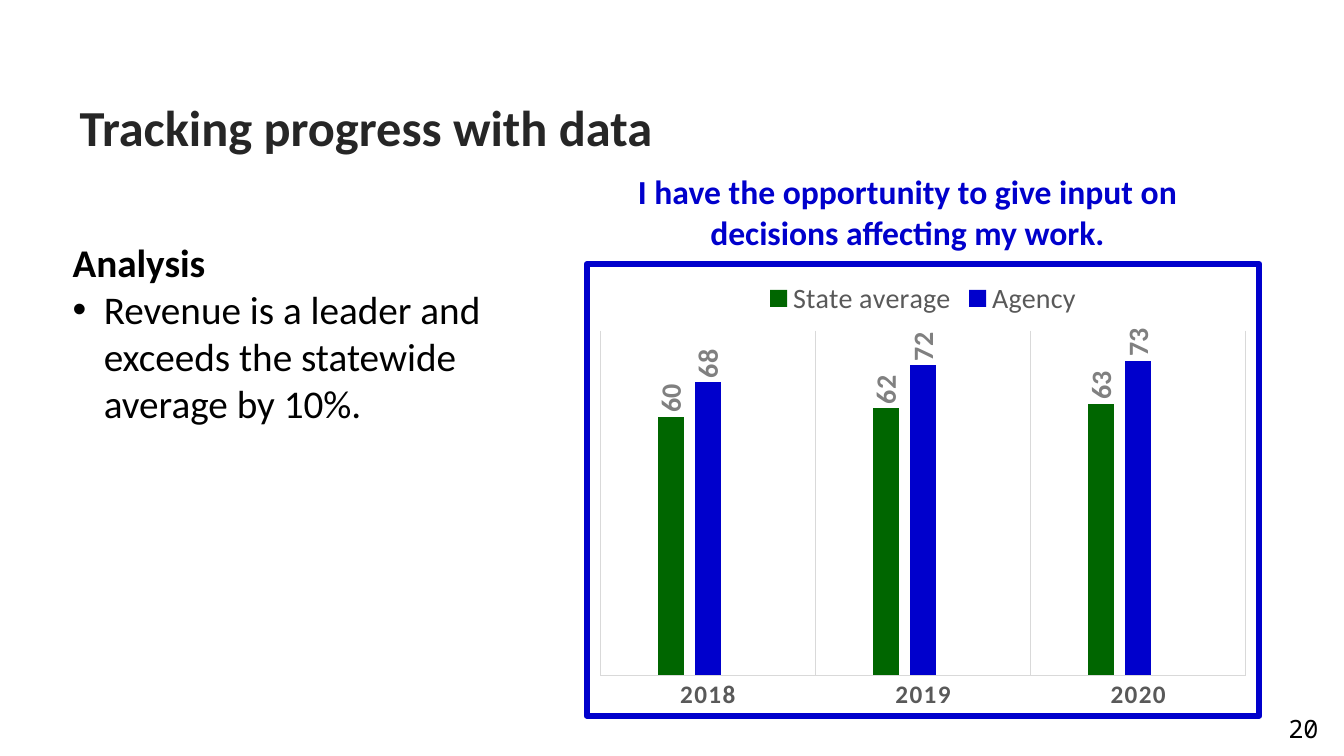
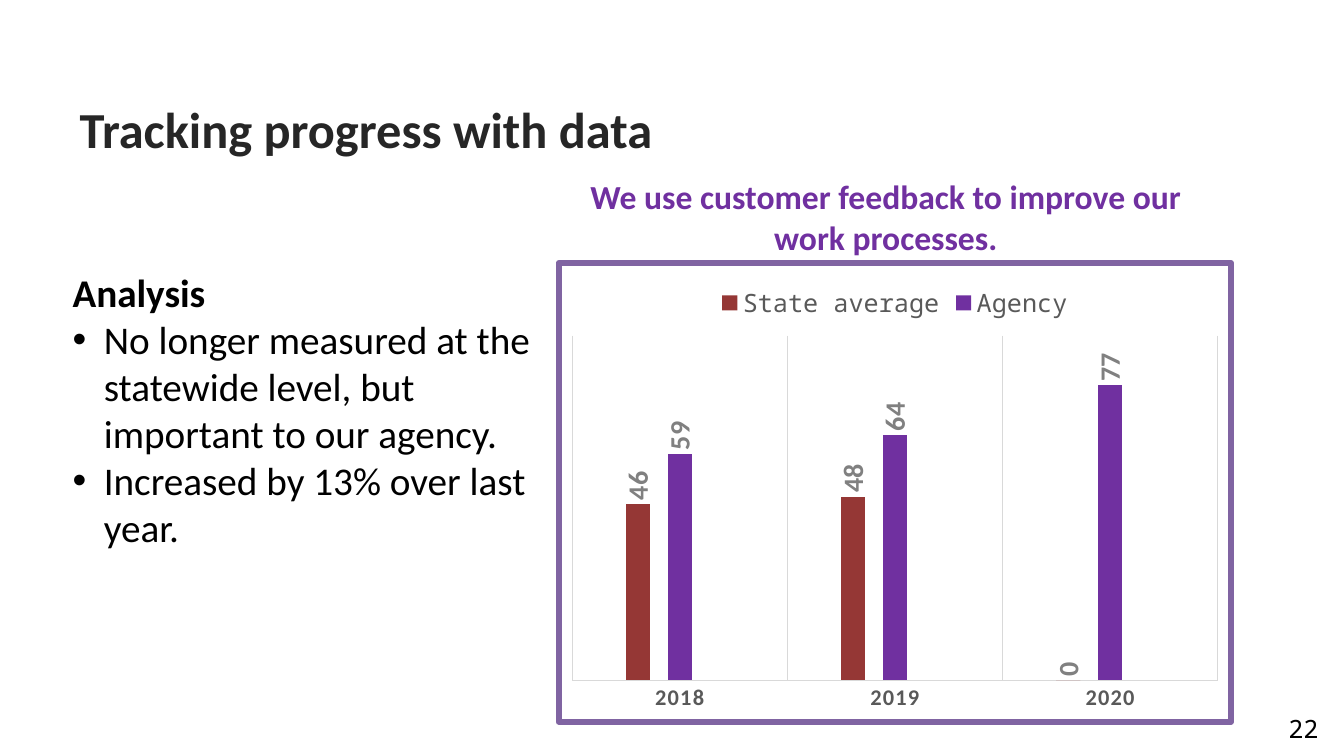
from lxml import etree
from pptx import Presentation
from pptx.chart import data
from pptx.dml import color
from pptx.enum import chart as ch, shapes, text
from pptx.oxml import ns
from pptx.util import Inches, Pt

COLORS = {
    "black": "000000", "title": "262626", "axis": "595959", "label": "808080",
    "grid": "D9D9D9", "blue": "0000CC", "green": "006600",
    "purple": "7030A0", "frame purple": "8064A2", "brick": "953735",
}
SANS, MONO = "Calibri", "Noto Sans Mono"
CHART_W, CHART_H = 6.67, 4.44
PLOT_AREA = {"x": 0.02, "y": 0.14, "w": 0.96, "h": 0.77}

PAGES = [
    {
        "number": "20", "title top": 0.9,
        "analysis": (2.31, 1.99),
        "points": ["Revenue is a leader and exceeds the statewide average by 10%."],
        "statement": "I have the opportunity to give input on decisions affecting my work.",
        "statement box": (6.09, 1.65, 5.82, 0.91),
        "accent": "blue", "frame": "blue", "average": "green",
        "frame box": (5.82, 2.62, CHART_W, 4.48), "chart top": 2.66,
        "State average": (60, 62, 63), "Agency": (68, 72, 73),
        "max": 80, "overlap": -43, "year size": 18,
        "legend": {"size": Pt(20), "name": SANS},
    },
    {
        "number": "22", "title top": 0.92,
        "analysis": (2.61, 2.93),
        "points": ["No longer measured at the statewide level, but important to our agency.",
                   "Increased by 13% over last year."],
        "statement": "We use customer feedback to improve our work processes.",
        "statement box": (5.54, 1.7, 6.49, 0.91),
        "accent": "purple", "frame": "frame purple", "average": "brick",
        "frame box": (5.54, 2.61, CHART_W, 4.55), "chart top": 2.71,
        "State average": (46, 48, 0), "Agency": (59, 64, 77),
        "max": 90, "overlap": -72, "year size": 16,
        "legend": {"size": Pt(18), "name": MONO},
    },
]


def rgb(name):
    return color.RGBColor.from_string(COLORS[name])


def style(font, color_name, **values):
    """Set a font's colour and any of its size, name and bold values."""
    for key, value in values.items():
        setattr(font, key, value)
    font.fill.solid()
    font.fill.fore_color.rgb = rgb(color_name)


prs = Presentation()
prs.slide_width, prs.slide_height = Inches(13.33), Inches(7.5)

for page in PAGES:
    slide = prs.slides.add_slide(prs.slide_layouts.get_by_name("Title and Content"))

    # Page number
    number = slide.shapes.add_textbox(*map(Inches, (12.68, 7.03, 0.53, 0.4))).text_frame
    number.word_wrap = False
    number.text = page["number"]
    style(number.paragraphs[0].runs[0].font, "black", size=Pt(18), name=MONO)

    # Title and analysis
    title, analysis = slide.placeholders
    analysis_top, analysis_height = page["analysis"]
    for part, box in ((title, (0.69, page["title top"], 7.13, 0.6)),
                      (analysis, (0.62, analysis_top, 4.92, analysis_height))):
        part.left, part.top, part.width, part.height = map(Inches, box)
        part.text_frame.auto_size = text.MSO_AUTO_SIZE.NONE
        part.text_frame.vertical_anchor = text.MSO_ANCHOR.TOP
    title.text_frame.text = "Tracking progress with data"
    heading = title.text_frame.paragraphs[0]
    heading.alignment = text.PP_ALIGN.LEFT
    style(heading.runs[0].font, "title", size=Pt(36), name=SANS, bold=True)

    analysis.text_frame.text = "\n".join(["Analysis", *page["points"]])
    for i, line in enumerate(analysis.text_frame.paragraphs):
        line.space_before = Pt(0)
        style(line.runs[0].font, "black", size=Pt(28), name=SANS, bold=i == 0)
        indent = Inches(0.31) if i else 0
        properties = line._p.get_or_add_pPr()
        properties.set("marL", str(indent))
        properties.set("indent", str(-indent))
        if i:
            etree.SubElement(properties, ns.qn("a:buChar"), char="•")
        else:
            etree.SubElement(properties, ns.qn("a:buNone"))

    # Survey statement above the chart
    statement = slide.shapes.add_textbox(*map(Inches, page["statement box"])).text_frame
    statement.word_wrap = True
    statement.text = page["statement"]
    statement.paragraphs[0].alignment = text.PP_ALIGN.CENTER
    style(statement.paragraphs[0].runs[0].font, page["accent"],
          size=Pt(24), name=SANS, bold=True)

    frame = slide.shapes.add_shape(shapes.MSO_SHAPE.RECTANGLE,
                                   *map(Inches, page["frame box"]))
    frame.shadow.inherit = False
    frame.fill.background()
    frame.line.color.rgb = rgb(page["frame"])
    frame.line.width = Pt(4.33)

    # Survey results; the empty third series keeps its room beside the columns
    results = data.CategoryChartData()
    results.categories = ["2018", "2019", "2020"]
    for name in ("State average", "Agency"):
        results.add_series(name, page[name])
    results.add_series("Series 3", (None, None, None))
    chart = slide.shapes.add_chart(
        ch.XL_CHART_TYPE.COLUMN_CLUSTERED, Inches(page["frame box"][0]),
        Inches(page["chart top"]), Inches(CHART_W), Inches(CHART_H), results).chart
    chart.has_title = False
    style(chart.font, "black", size=Pt(10), name=MONO)

    plot = chart.plots[0]
    plot.vary_by_categories = False
    plot.gap_width, plot.overlap = 444, page["overlap"]
    for series, fill in zip(plot.series, (page["average"], page["accent"])):
        series.format.fill.solid()
        series.format.fill.fore_color.rgb = rgb(fill)
        labels = series.data_labels
        labels.show_value = True
        labels.position = ch.XL_LABEL_POSITION.OUTSIDE_END
        style(labels.font, "label", size=Pt(20), name=SANS, bold=True)

    years = chart.category_axis
    years.major_tick_mark = ch.XL_TICK_MARK.NONE
    years.has_major_gridlines = True
    for part in (years, years.major_gridlines):
        part.format.line.color.rgb = rgb("grid")
        part.format.line.width = Pt(0.75)
    style(years.tick_labels.font, "axis", size=Pt(page["year size"]), name=SANS, bold=True)

    scores = chart.value_axis
    scores.minimum_scale, scores.maximum_scale = 0, page["max"]
    scores.has_major_gridlines = False
    scores.visible = False

    chart.has_legend = True
    chart.legend.position = ch.XL_LEGEND_POSITION.TOP
    chart.legend.include_in_layout = False
    style(chart.legend.font, "axis", **page["legend"])

    # Upright labels, spaced years, hidden legend entry and fixed plot area
    root = chart.element
    for body in root.xpath(".//c:dLbls/c:txPr/a:bodyPr"):
        body.set("rot", "-5400000")
        body.set("vert", "horz")
    for run in root.xpath(".//c:catAx/c:txPr//a:defRPr"):
        run.set("spc", "100")
    entry = etree.Element(ns.qn("c:legendEntry"))
    etree.SubElement(entry, ns.qn("c:idx"), val="2")
    etree.SubElement(entry, ns.qn("c:delete"), val="1")
    root.xpath(".//c:legendPos")[0].addnext(entry)
    area = root.xpath(".//c:plotArea")[0]
    for automatic in area.findall(ns.qn("c:layout")):
        area.remove(automatic)
    layout = etree.Element(ns.qn("c:layout"))
    manual = etree.SubElement(layout, ns.qn("c:manualLayout"))
    etree.SubElement(manual, ns.qn("c:layoutTarget"), val="inner")
    for side in "xy":
        etree.SubElement(manual, ns.qn(f"c:{side}Mode"), val="edge")
    for side, share in PLOT_AREA.items():
        etree.SubElement(manual, ns.qn(f"c:{side}"), val=str(share))
    area.insert(0, layout)

prs.save("out.pptx")
